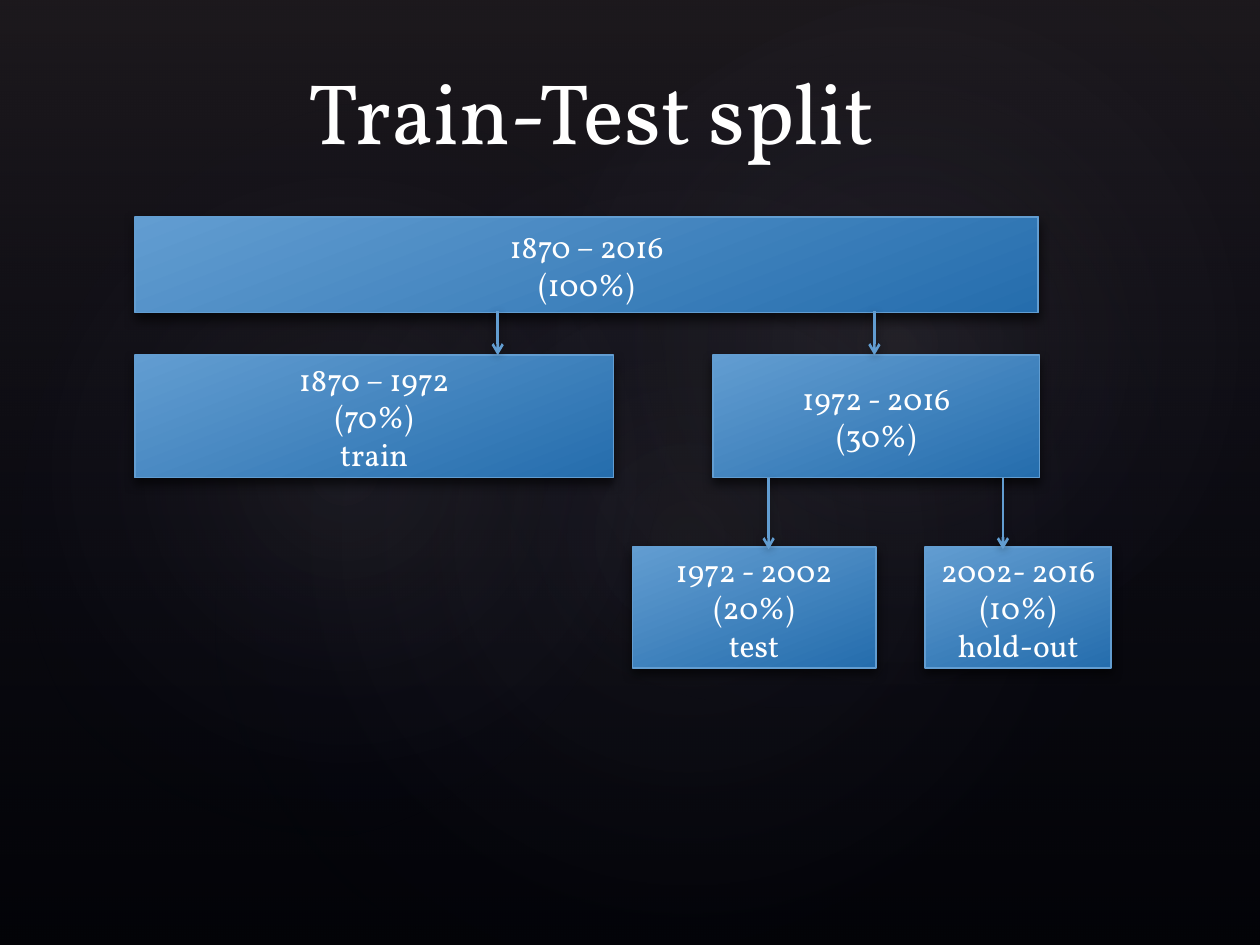
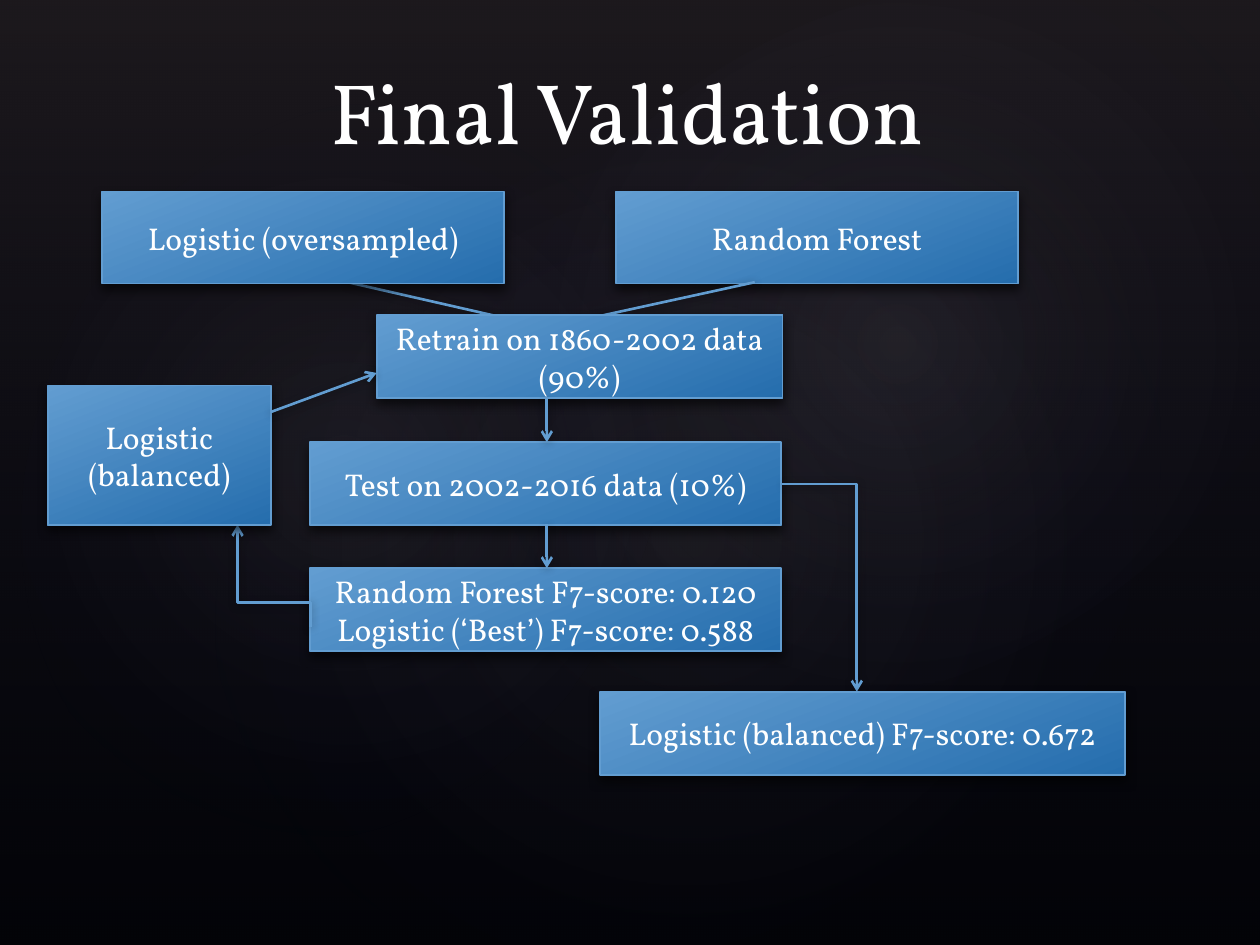
from dataclasses import dataclass

from lxml import etree
from pptx import Presentation
from pptx.dml.color import RGBColor
from pptx.enum.shapes import MSO_CONNECTOR, MSO_SHAPE
from pptx.enum.text import MSO_ANCHOR, MSO_AUTO_SIZE, PP_ALIGN
from pptx.oxml import parse_xml
from pptx.oxml.ns import nsdecls, qn
from pptx.slide import Slide
from pptx.util import Inches, Pt

BLACK = RGBColor(0x00, 0x00, 0x00)
WHITE = RGBColor(0xFF, 0xFF, 0xFF)
LIGHT_BLUE = RGBColor(0x62, 0x9D, 0xD1)
DEEP_BLUE = RGBColor(0x25, 0x6D, 0xAD)
NAVY = RGBColor(0x24, 0x28, 0x52)
PLUM = RGBColor(0x50, 0x46, 0x52)
MIST = RGBColor(0xC4, 0xBC, 0xC6)

FONT = "Vollkorn"
TITLE_ONLY = 5
RECTANGLE = MSO_SHAPE.RECTANGLE
PROCESS = MSO_SHAPE.FLOWCHART_PROCESS
OVAL = MSO_SHAPE.OVAL
STRAIGHT = MSO_CONNECTOR.STRAIGHT
ELBOW = MSO_CONNECTOR.ELBOW
CENTER = PP_ALIGN.CENTER
BOTTOM = MSO_ANCHOR.BOTTOM
MIDDLE = MSO_ANCHOR.MIDDLE
NO_AUTOFIT = MSO_AUTO_SIZE.NONE

# left, top, width, height, rotation, opacity of the centre
GLOWS = [
    (1.5, 1.14, 7.92, 6.24, 328.7, 7),
    (-0.3, 1.28, 6.06, 4.9, 294.3, 8),
    (3.58, 0.13, 7.09, 5.2, 328.7, 8),
]


# Effects
def set_gradient(shape, stops, angle=None):
    """Fill with (position, colour, opacity) stops; radial without an angle."""
    marks = "".join(
        f'<a:gs pos="{position * 1000}"><a:srgbClr val="{color}">'
        f'<a:alpha val="{opacity * 1000}"/></a:srgbClr></a:gs>'
        for position, color, opacity in stops)
    if angle is None:
        course = ('<a:path path="circle"><a:fillToRect l="50000" t="50000" '
                  'r="50000" b="50000"/></a:path>')
    else:
        course = f'<a:lin ang="{angle * 60000}" scaled="0"/>'
    shape.fill.background()
    properties = shape.element.spPr
    properties.replace(properties.find(qn("a:noFill")), parse_xml(
        f'<a:gradFill {nsdecls("a")} rotWithShape="1">'
        f'<a:gsLst>{marks}</a:gsLst>{course}</a:gradFill>'))


def add_shadow(shape, opacity, blur, distance):
    shape.element.spPr.append(parse_xml(
        f'<a:effectLst {nsdecls("a")}><a:outerShdw blurRad="{Pt(blur)}" '
        f'dist="{Pt(distance)}" dir="5400000" rotWithShape="0">'
        f'<a:srgbClr val="{BLACK}"><a:alpha val="{opacity * 1000}"/></a:srgbClr>'
        '</a:outerShdw></a:effectLst>'))


def write_lines(frame, lines, size, anchor):
    frame.word_wrap = True
    frame.auto_size = NO_AUTOFIT
    frame.vertical_anchor = anchor
    frame.text = "\n".join(lines)
    for para in frame.paragraphs:
        para.alignment = CENTER
        para.font.name = FONT
        para.font.size = Pt(size)
        para.font.color.rgb = WHITE


# Shared backdrop and title
def dress_layout(layout, page):
    """Draw the glowing backdrop on the page and hand it to the layout."""
    layout.background.fill.solid()
    layout.background.fill.fore_color.rgb = BLACK
    veil = page.shapes.add_shape(RECTANGLE, 0, 0, Inches(10), Inches(7.5))
    set_gradient(veil, [(0, PLUM, 36), (100, NAVY, 10)], 90)
    backdrop = [veil]
    for *frame, rotation, opacity in GLOWS:
        glow = page.shapes.add_shape(OVAL, *map(Inches, frame))
        glow.rotation = rotation
        set_gradient(glow, [(0, MIST, opacity), (58, NAVY, 0), (100, NAVY, 0)])
        backdrop.append(glow)
    for index, shape in enumerate(backdrop, start=2):
        shape.line.fill.background()
        shape.shadow.inherit = False
        layout.shapes.element.insert(index, shape.element)


def place_title(page, text, left):
    title = page.shapes.title
    title.left, title.top = Inches(left), Inches(0.33)
    title.width, title.height = Inches(8.25), Inches(1)
    write_lines(title.text_frame, [text], 49, BOTTOM)


# Flow diagrams, measured from their top left corner
@dataclass
class Flow:
    page: Slide
    left: float
    top: float
    kind: int = RECTANGLE

    def node(self, x, y, width, height, *lines):
        box = self.page.shapes.add_shape(
            self.kind, Inches(self.left + x), Inches(self.top + y),
            Inches(width), Inches(height))
        set_gradient(box, [(0, LIGHT_BLUE, 100), (100, DEEP_BLUE, 100)], 69)
        box.line.color.rgb = LIGHT_BLUE
        box.line.width = Pt(1)
        add_shadow(box, 60, 6, 3)
        write_lines(box.text_frame, lines, 18, MIDDLE)

    def arrow(self, start_x, start_y, end_x, end_y, kind=STRAIGHT):
        link = self.page.shapes.add_connector(
            kind, Inches(self.left + start_x), Inches(self.top + start_y),
            Inches(self.left + end_x), Inches(self.top + end_y))
        link.line.color.rgb = LIGHT_BLUE
        link.line.width = Pt(1.5)
        etree.SubElement(link.line._get_or_add_ln(), qn("a:tailEnd"), type="arrow")
        add_shadow(link, 32, 5, 1)
        return link.element.spPr


def draw_split(page, left, top):
    flow = Flow(page, left, top, PROCESS)
    flow.node(0, 0, 7.17, 0.76, "1870 – 2016", "(100%)")
    flow.node(0, 1.1, 3.8, 0.97, "1870 – 1972", "(70%)", "train")
    flow.node(4.59, 1.1, 2.59, 0.97, "1972 - 2016", "(30%)")
    flow.node(3.95, 2.62, 1.93, 0.96, "1972 - 2002", "(20%)", "test")
    flow.node(6.27, 2.62, 1.48, 0.96, "2002- 2016", "(10%)", "hold-out")
    for x, start, end in [(2.88, 0.75, 1.1), (5.87, 0.75, 1.1),
                          (5.03, 2.07, 2.64), (6.89, 2.07, 2.64)]:
        flow.arrow(x, start, x, end)


def draw_validation(page, left, top):
    flow = Flow(page, left, top)
    middle = 3.96

    # Two models lead into retraining
    flow.node(4.51, 0, 3.19, 0.73, "Random Forest")
    for x in (2.38, 5.61):
        flow.arrow(x, 0.72, middle, 1.08)
    flow.node(0.43, 0, 3.19, 0.73, "Logistic (oversampled)")

    # Retrain, test and scores
    flow.node(2.61, 0.98, 3.22, 0.66, "Retrain on 1860-2002 data (90%)")
    flow.node(2.08, 1.99, 3.74, 0.66, "Test on 2002-2016 data (10%)")
    flow.arrow(middle, 1.64, middle, 1.99)
    flow.node(2.08, 2.99, 3.74, 0.66, "Random Forest F7-score: 0.120",
              "Logistic (‘Best’) F7-score: 0.588")
    flow.arrow(middle, 2.64, middle, 2.99)

    # Loop back through the balanced model
    loop = flow.arrow(1.39, 3.34, 2.2, 2.76, ELBOW)
    loop.find(qn("a:xfrm")).set("rot", str(270 * 60000))
    guides = loop.find(qn("a:prstGeom")).get_or_add_avLst()
    etree.SubElement(guides, qn("a:gd"), name="adj1", fmla="val 23900")
    flow.node(0, 1.54, 1.77, 1.11, "Logistic (balanced)")
    flow.arrow(1.77, 1.75, 2.61, 1.44)

    # Final score
    corner = flow.arrow(5.83, 2.32, 6.42, 3.97, ELBOW)
    corner.find(qn("a:prstGeom")).set("prst", "bentConnector2")
    flow.node(4.38, 3.97, 4.17, 0.66, "Logistic (balanced) F7-score: 0.672")


def main():
    deck = Presentation()
    deck.slide_width, deck.slide_height = Inches(10), Inches(7.5)
    layout = deck.slide_layouts[TITLE_ONLY]

    split = deck.slides.add_slide(layout)
    dress_layout(layout, split)
    place_title(split, "Train-Test split", 0.57)
    draw_split(split, 1.07, 1.72)

    validation = deck.slides.add_slide(layout)
    place_title(validation, "Final Validation", 0.85)
    draw_validation(validation, 0.38, 1.52)

    deck.save("out.pptx")


if __name__ == "__main__":
    main()
